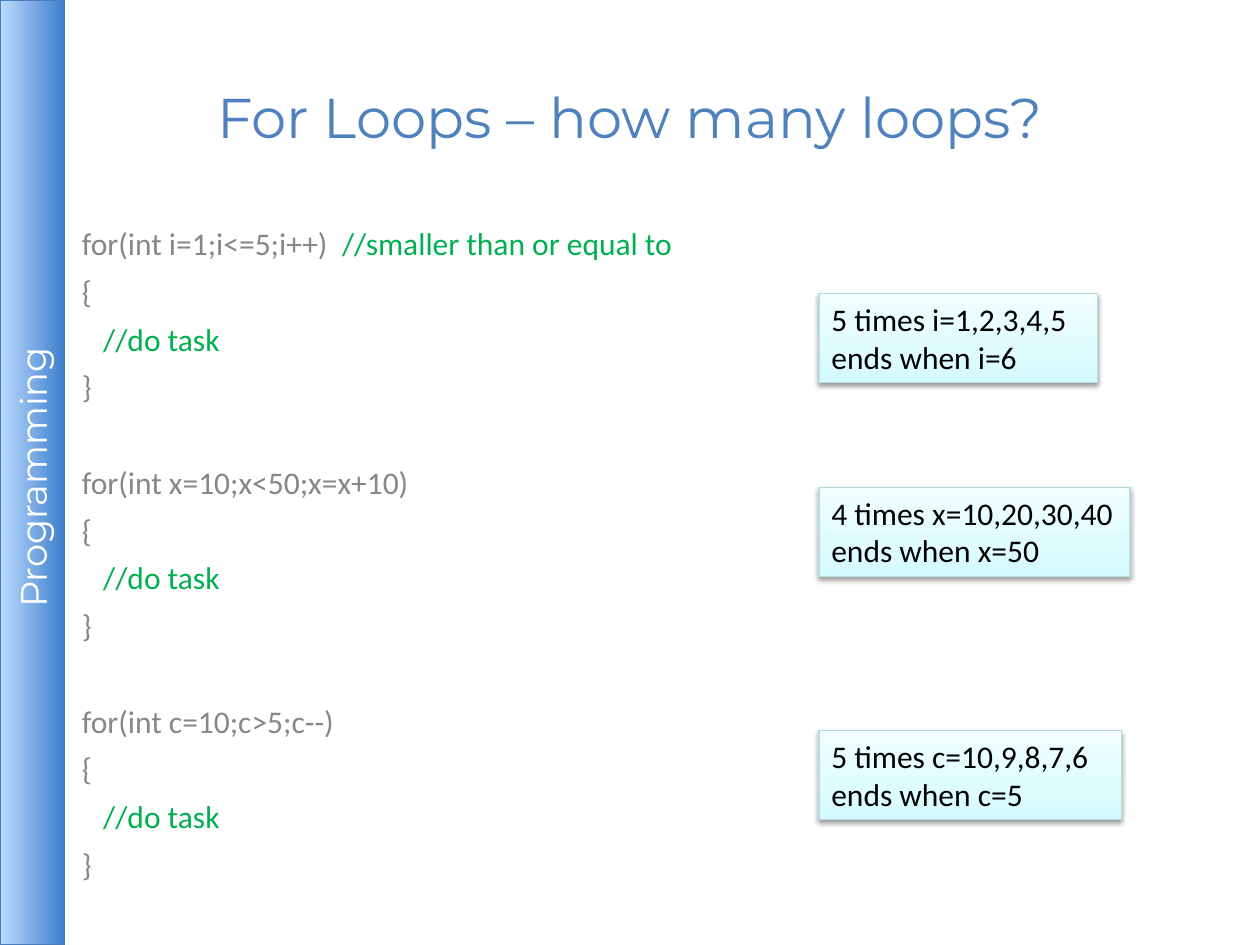
from copy import deepcopy

from lxml.etree import SubElement
from pptx import Presentation
from pptx.dml.color import RGBColor
from pptx.enum.shapes import MSO_SHAPE as Shape
from pptx.enum.text import MSO_ANCHOR as Anchor, PP_ALIGN as Align
from pptx.oxml.ns import qn
from pptx.util import Pt

WHITE = RGBColor(0xFF, 0xFF, 0xFF)
BLACK = RGBColor(0x00, 0x00, 0x00)
BLUE = RGBColor(0x4F, 0x81, 0xBD)
GRAY = RGBColor(0x87, 0x87, 0x87)
GREEN = RGBColor(0x00, 0xB0, 0x50)
BAR_LINE = RGBColor(0x4A, 0x7D, 0xBB)
BAR_STOPS = [(0, RGBColor(0xBD, 0xDB, 0xFE)), (100, RGBColor(0x3E, 0x7F, 0xCD))]
NOTE_LINE = RGBColor(0xB6, 0xDC, 0xDF)
NOTE_STOPS = [(0, RGBColor(0xD3, 0xFB, 0xFF)), (35, RGBColor(0xDF, 0xFC, 0xFF)),
              (100, RGBColor(0xF2, 0xFE, 0xFF))]
HEADING_FONT, BODY_FONT = "Montserrat", "Calibri"
LINE_GAP, BLOCK_GAP = 5.6, 33.2

LOOPS = [
    [("for(int i=1;i<=5;i++)  ", GRAY), ("//smaller than or equal to", GREEN)],
    [("for(int x=10;x<50;x=x+10)", GRAY)],
    [("for(int c=10;c>5;c--)", GRAY)],
]
NOTES = [
    (167.8, 159.1, ["5 times i=1,2,3,4,5", "ends when i=6"]),
    (278.6, 177.8, ["4 times x=10,20,30,40", "ends when x=50"]),
    (417.6, 172.8, ["5 times c=10,9,8,7,6", "ends when c=5"]),
]


def add_run(paragraph, text, size, font, color):
    run = paragraph.add_run()
    run.text = text
    run.font.size = Pt(size)
    run.font.name = font
    run.font.color.rgb = color


def set_margins(frame, margin):
    frame.margin_left = frame.margin_right = Pt(margin)
    frame.margin_top = frame.margin_bottom = Pt(margin)


def next_paragraph(frame, first):
    return frame.paragraphs[0] if first else frame.add_paragraph()


def add_text_box(slide, box):
    frame = slide.shapes.add_textbox(*map(Pt, box)).text_frame
    frame.word_wrap = True
    set_margins(frame, 2.9)
    return frame


def add_gradient_box(slide, box, stops, angle, line, alpha, blur, distance):
    """Rectangle with a gradient, a thin outline and a shadow below it."""
    shape = slide.shapes.add_shape(Shape.RECTANGLE, *map(Pt, box))
    shape.fill.gradient()
    shape.fill.gradient_angle = angle
    stop_list = shape._element.spPr.find(".//" + qn("a:gsLst"))
    if len(stops) == 3:
        stop_list.insert(1, deepcopy(stop_list[0]))
    for stop, (position, color) in zip(shape.fill.gradient_stops, stops):
        stop.position = position / 100
        stop.color.rgb = color
    shape.line.color.rgb = line
    shape.line.width = Pt(0.75)
    shape.shadow.inherit = False
    effects = shape._element.spPr.find(qn("a:effectLst"))
    shadow = SubElement(effects, qn("a:outerShdw"), blurRad=str(Pt(blur)),
                        dist=str(Pt(distance)), dir="5400000", rotWithShape="0")
    shade = SubElement(shadow, qn("a:srgbClr"), val=str(BLACK))
    SubElement(shade, qn("a:alpha"), val=str(alpha * 1000))
    return shape


def add_sidebar(slide, box):
    shape = add_gradient_box(slide, box, BAR_STOPS, 0, BAR_LINE, 35, 0, 1.8)
    frame = shape.text_frame
    frame.vertical_anchor = Anchor.MIDDLE
    set_margins(frame, 2.9)
    frame._txBody.bodyPr.set("vert", "vert270")
    paragraph = frame.paragraphs[0]
    paragraph.alignment = Align.CENTER
    add_run(paragraph, "Programming ", 21, HEADING_FONT, WHITE)


def add_title(slide, box):
    frame = add_text_box(slide, box)
    frame.vertical_anchor = Anchor.MIDDLE
    paragraph = frame.paragraphs[0]
    paragraph.alignment = Align.CENTER
    add_run(paragraph, "For Loops – how many loops?", 32, HEADING_FONT, BLUE)


def add_code(slide, box):
    frame = add_text_box(slide, box)
    for index, header in enumerate(LOOPS):
        lines = [header, [("{", GRAY)], [("//do task", GREEN)], [("}", GRAY)]]
        for row, runs in enumerate(lines):
            first = index == row == 0
            paragraph = next_paragraph(frame, first)
            starts_block = row == 0 and not first
            paragraph.space_before = Pt(BLOCK_GAP if starts_block else LINE_GAP)
            if row == 2:
                paragraph._p.get_or_add_pPr().set("marL", str(Pt(12.2)))
            for text, color in runs:
                add_run(paragraph, text, 18, BODY_FONT, color)


def add_note(slide, box, lines):
    shape = add_gradient_box(slide, box, NOTE_STOPS, 90, NOTE_LINE, 38, 3.1, 1.6)
    frame = shape.text_frame
    frame.word_wrap = True
    frame.vertical_anchor = Anchor.TOP
    for row, text in enumerate(lines):
        paragraph = next_paragraph(frame, row == 0)
        paragraph.alignment = Align.LEFT
        add_run(paragraph, text, 18, BODY_FONT, BLACK)


def build_slide(presentation):
    slide = presentation.slides.add_slide(presentation.slide_layouts[6])
    add_sidebar(slide, (0, 0, 36.7, 540))
    add_title(slide, (36, 21.6, 648, 90))
    add_code(slide, (43.9, 125.3, 640, 377.3))
    for top, width, lines in NOTES:
        add_note(slide, (468, top, width, 50.9), lines)


presentation = Presentation()
presentation.slide_width, presentation.slide_height = Pt(720), Pt(540)
build_slide(presentation)
presentation.save("out.pptx")
